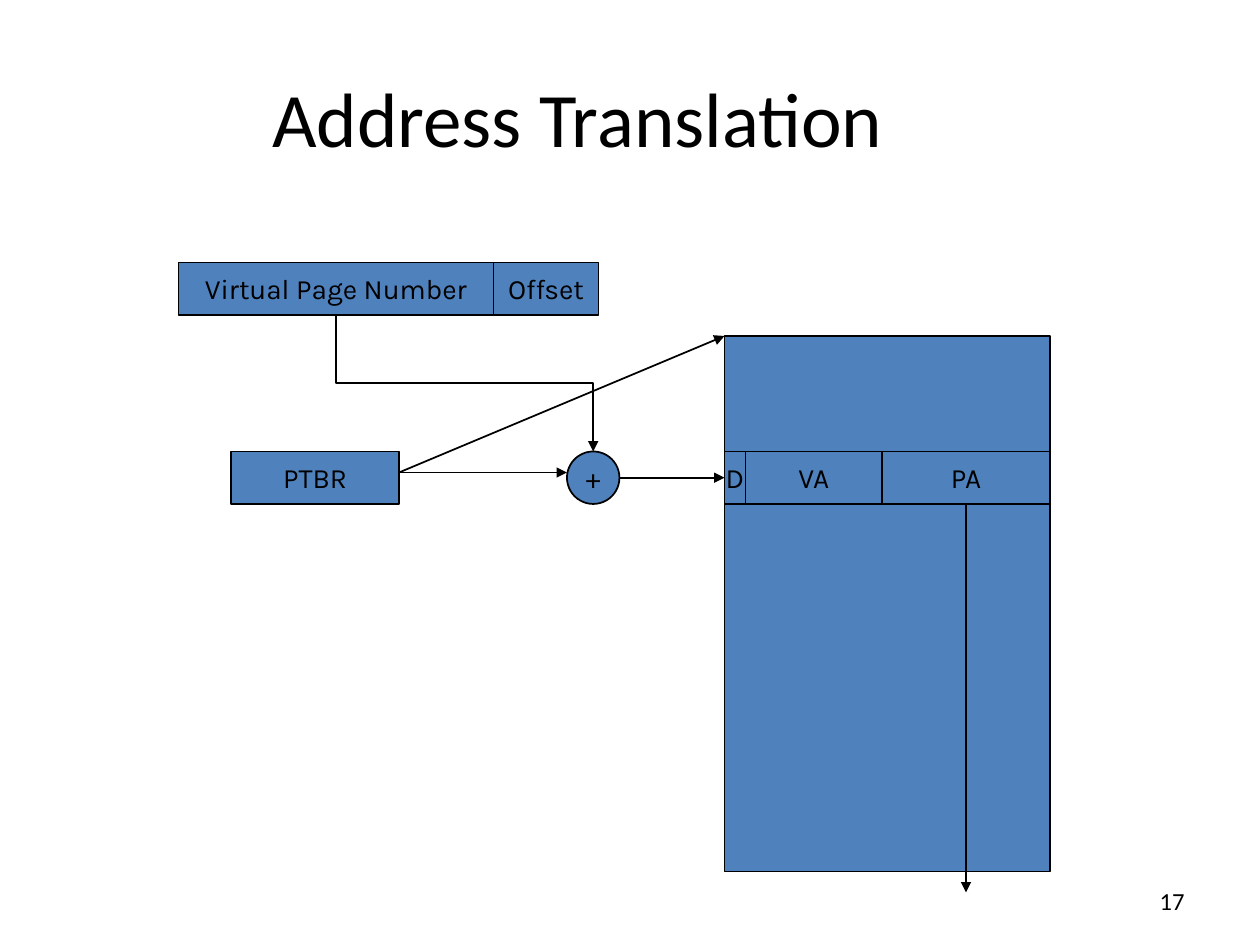
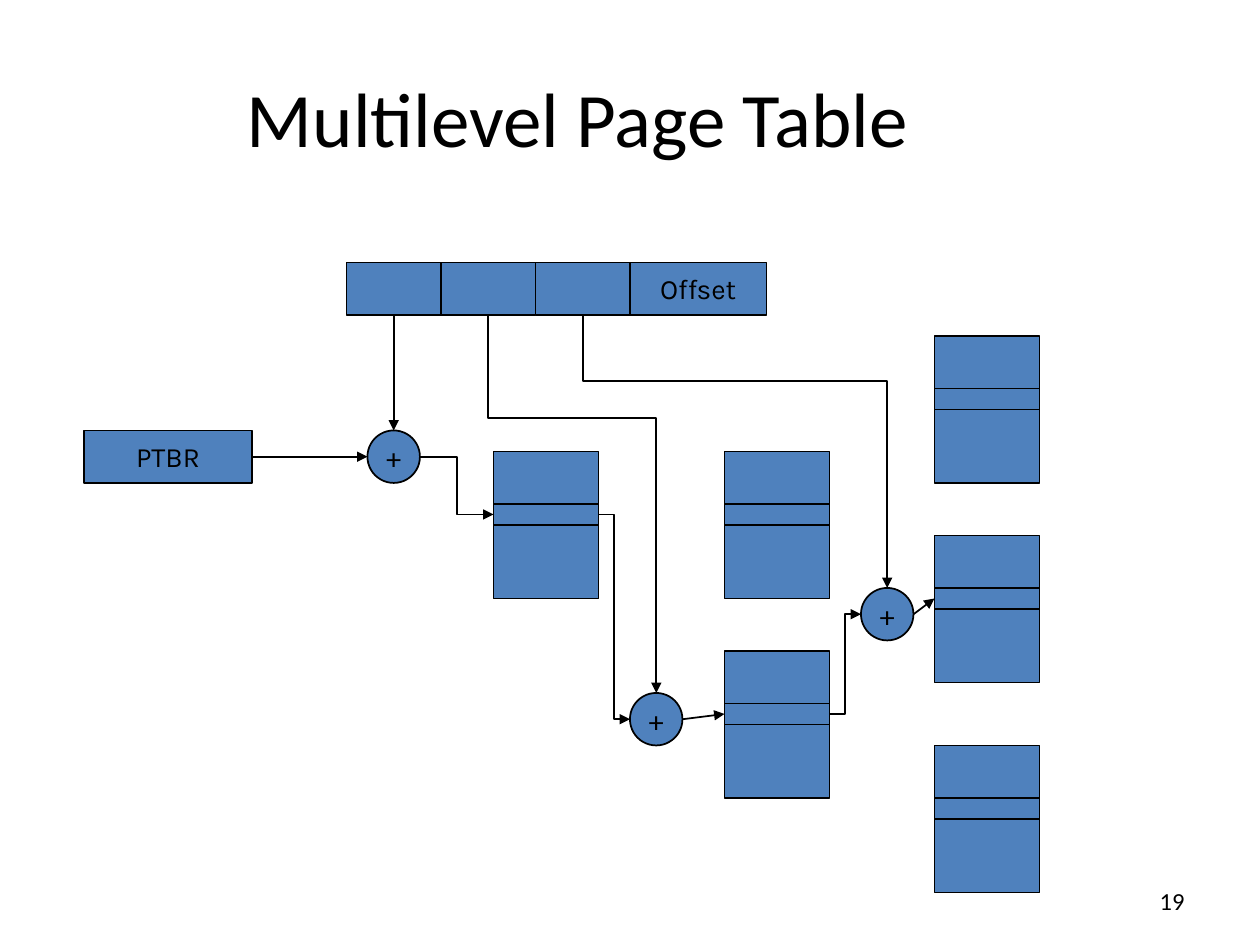
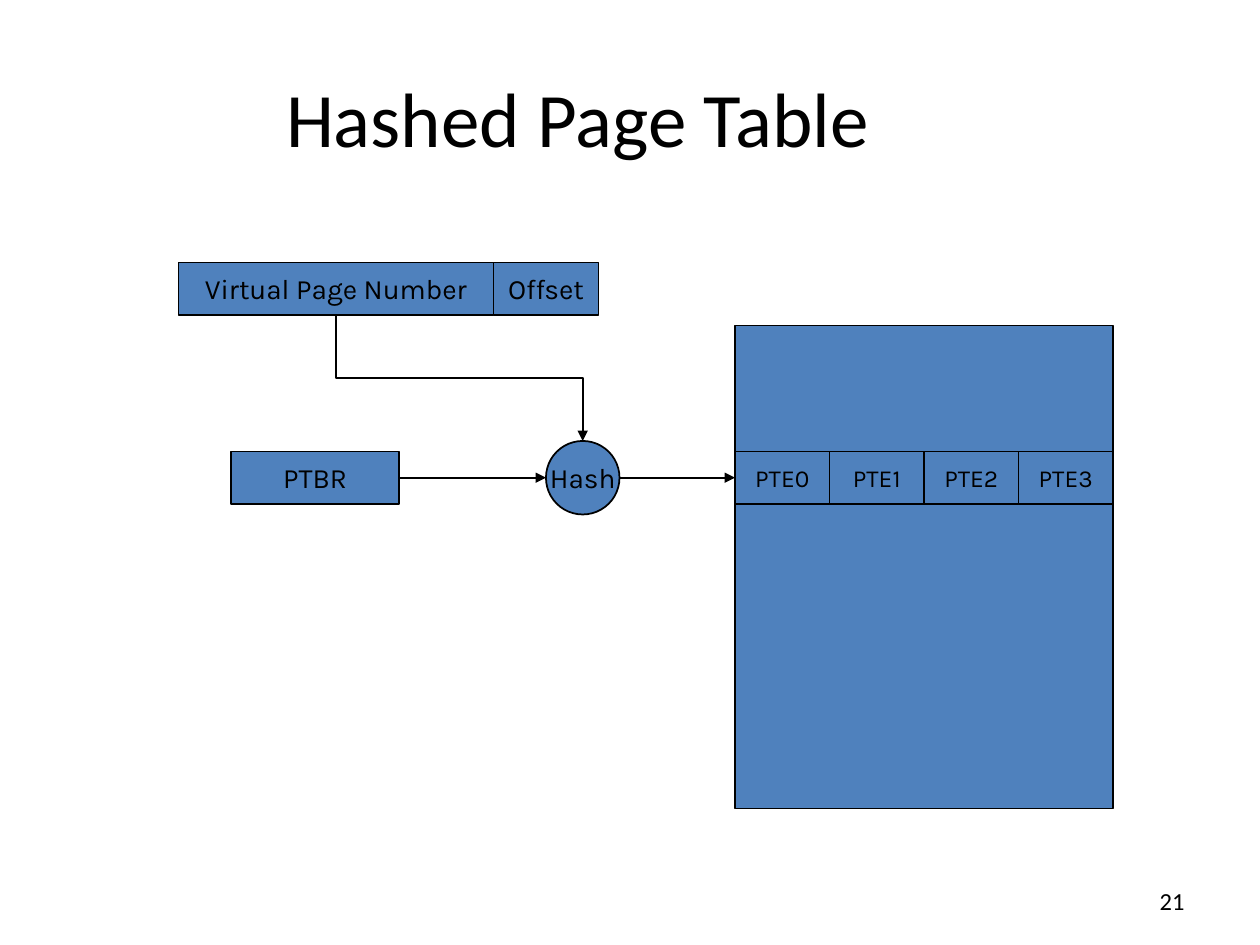
"""Build three slides of page table diagrams."""
from dataclasses import dataclass

import pptx
import pptx.dml.color
import pptx.enum.shapes
import pptx.enum.text
import pptx.oxml
import pptx.oxml.ns
import pptx.presentation
import pptx.shapes.autoshape
import pptx.slide
import pptx.text.text
import pptx.util
from pptx.util import Inches

BLACK = pptx.dml.color.RGBColor(0x00, 0x00, 0x00)
BLUE = pptx.dml.color.RGBColor(0x4F, 0x81, 0xBD)
HEADING_FONT = "Calibri"
DIAGRAM_FONT = "Karla"
ALIGN = pptx.enum.text.PP_ALIGN
PRESET = pptx.enum.shapes.MSO_SHAPE
CONNECTOR = pptx.enum.shapes.MSO_CONNECTOR
LINE_WIDTH = pptx.util.Pt(1)
FIELD_HEIGHT = 5


@dataclass(frozen=True)
class Box:
    """A filled shape placed in twelfths of an inch."""
    left: float
    top: float
    width: float
    height: float = FIELD_HEIGHT
    label: str = ""
    size: int = 16
    preset: pptx.enum.shapes.MSO_SHAPE = PRESET.RECTANGLE


@dataclass(frozen=True)
class Arrow:
    """An arrow between two points in twelfths of an inch."""
    start: tuple[float, float]
    end: tuple[float, float]
    route: str = "straight"
    bend: float = 0.5


@dataclass(frozen=True)
class Diagram:
    """The title, number and parts of one slide."""
    title: str
    number: int
    boxes: list[Box]
    arrows: list[Arrow]


def grid(twelfths: float) -> pptx.util.Length:
    """Convert twelfths of an inch to a length."""
    return Inches(twelfths / 12)


def field_row(left: float, top: float, fields: list[tuple[str, float]], size: int = 16) -> list[Box]:
    """Place labelled fields side by side."""
    row = []
    for label, width in fields:
        row.append(Box(left, top, width, label=label, size=size))
        left += width
    return row


def circle(left: float, top: float, label: str = "+", diameter: float = 5) -> Box:
    """Describe a round operator."""
    return Box(left, top, diameter, diameter, label, preset=PRESET.OVAL)


def page_table(left: float, top: float) -> list[Box]:
    """Describe a small page table with one entry marked."""
    return [Box(left, top, 10, 14), Box(left, top + 5, 10, 2)]


def write(frame: pptx.text.text.TextFrame, text: str, *, size: int, font: str,
          align: ALIGN = ALIGN.CENTER, wrap: bool = False) -> None:
    """Put formatted text in a frame."""
    frame.word_wrap = wrap
    frame.vertical_anchor = pptx.enum.text.MSO_ANCHOR.MIDDLE
    paragraph = frame.paragraphs[0]
    paragraph.alignment = align
    run = paragraph.add_run()
    run.text = text
    run.font.size = pptx.util.Pt(size)
    run.font.name = font
    run.font.color.rgb = BLACK


def draw_box(slide: pptx.slide.Slide, box: Box) -> None:
    """Draw a box with its label."""
    shape = slide.shapes.add_shape(
        box.preset, grid(box.left), grid(box.top), grid(box.width), grid(box.height))
    shape.shadow.inherit = False
    shape.fill.solid()
    shape.fill.fore_color.rgb = BLUE
    shape.line.color.rgb = BLACK
    shape.line.width = LINE_WIDTH
    if box.label:
        write(shape.text_frame, box.label, size=box.size, font=DIAGRAM_FONT)


def draw_arrow(slide: pptx.slide.Slide, arrow: Arrow) -> None:
    """Draw a straight, across-first or down-first arrow."""
    (x1, y1), (x2, y2) = arrow.start, arrow.end
    down_first = arrow.route == "down"
    if down_first:
        middle_x, middle_y = (x1 + x2) / 2, (y1 + y2) / 2
        half_width, half_height = (x2 - x1) / 2, (y2 - y1) / 2
        x1, x2 = middle_x + half_height, middle_x - half_height
        y1, y2 = middle_y - half_width, middle_y + half_width
    kind = CONNECTOR.STRAIGHT if arrow.route == "straight" else CONNECTOR.ELBOW
    connector = slide.shapes.add_connector(kind, grid(x1), grid(y1), grid(x2), grid(y2))
    connector.line.color.rgb = BLACK
    connector.line.width = LINE_WIDTH
    qn = pptx.oxml.ns.qn
    properties = connector.element.spPr
    if down_first:
        properties.find(qn("a:xfrm")).set("rot", "16200000")
    if kind == CONNECTOR.ELBOW:
        adjustments = properties.find(qn("a:prstGeom")).find(qn("a:avLst"))
        guide = adjustments.makeelement(
            qn("a:gd"), {"name": "adj1", "fmla": f"val {round(arrow.bend * 100000)}"})
        adjustments.append(guide)
    outline = properties.find(qn("a:ln"))
    outline.append(outline.makeelement(
        qn("a:tailEnd"), {"type": "triangle", "w": "med", "len": "med"}))
    properties.append(properties.makeelement(qn("a:effectLst"), {}))


def draw_diagram(deck: pptx.presentation.Presentation, diagram: Diagram) -> None:
    """Add a slide with its title, number and diagram."""
    slide = deck.slides.add_slide(deck.slide_layouts[6])
    title = slide.shapes.add_textbox(Inches(0.5), Inches(0.3), Inches(8.17), Inches(1.25))
    write(title.text_frame, diagram.title, size=44, font=HEADING_FONT, wrap=True)
    number = slide.shapes.add_textbox(Inches(8.33), Inches(6.95), Inches(1.17), Inches(0.4))
    write(number.text_frame, str(diagram.number), size=14, font=HEADING_FONT,
          align=ALIGN.RIGHT, wrap=True)
    for box in diagram.boxes:
        draw_box(slide, box)
    for arrow in diagram.arrows:
        draw_arrow(slide, arrow)


VIRTUAL_ADDRESS = field_row(17, 25, [("Virtual Page Number", 30), ("Offset", 10)])
BASE_REGISTER = Box(22, 43, 16, label="PTBR")

DIAGRAMS = [
    Diagram(
        "Address Translation", 17,
        [Box(69, 32, 31, 51), *field_row(69, 43, [("D", 2), ("VA", 13), ("PA", 16)]),
         BASE_REGISTER, *VIRTUAL_ADDRESS, circle(54, 43)],
        [Arrow((38, 45), (69, 32)), Arrow((38, 45), (54, 45)),
         Arrow((32, 30), (56.5, 43), "down"),
         Arrow((59, 45.5), (69, 45.5)), Arrow((92, 48), (92, 85))]),
    Diagram(
        "Multilevel Page Table", 19,
        [Box(8, 41, 16, label="PTBR"),
         *field_row(33, 25, [("", 9), ("", 9), ("", 9), ("Offset", 13)]),
         *page_table(47, 43),
         *page_table(69, 43), *page_table(69, 62),
         *page_table(89, 32), *page_table(89, 51), *page_table(89, 71),
         circle(35, 41), circle(60, 66), circle(82, 56)],
        [Arrow((37.5, 30), (37.5, 41)), Arrow((24, 43.5), (35, 43.5)),
         Arrow((40, 43.5), (47, 49), "across"), Arrow((57, 49), (60, 68.5), "across"),
         Arrow((46.5, 30), (62.5, 66), "down", 0.273), Arrow((65, 68.5), (69, 68)),
         Arrow((79, 68), (82, 58.5), "across"),
         Arrow((55.5, 30), (84.5, 56), "down", 0.243), Arrow((87, 58.5), (89, 57))]),
    Diagram(
        "Hashed Page Table", 21,
        [BASE_REGISTER, *VIRTUAL_ADDRESS, circle(52, 42, "Hash", 7), Box(70, 31, 36, 46),
         *field_row(70, 43, [(f"PTE{entry}", 9) for entry in range(4)], size=14)],
        [Arrow((32, 30), (55.5, 42), "down"),
         Arrow((38, 45.5), (52, 45.5)), Arrow((59, 45.5), (70, 45.5))]),
]


def main() -> None:
    """Build and save the deck."""
    deck = pptx.Presentation()
    deck.slide_width = Inches(10)
    deck.slide_height = Inches(7.5)
    for diagram in DIAGRAMS:
        draw_diagram(deck, diagram)
    deck.save("out.pptx")


if __name__ == "__main__":
    main()
